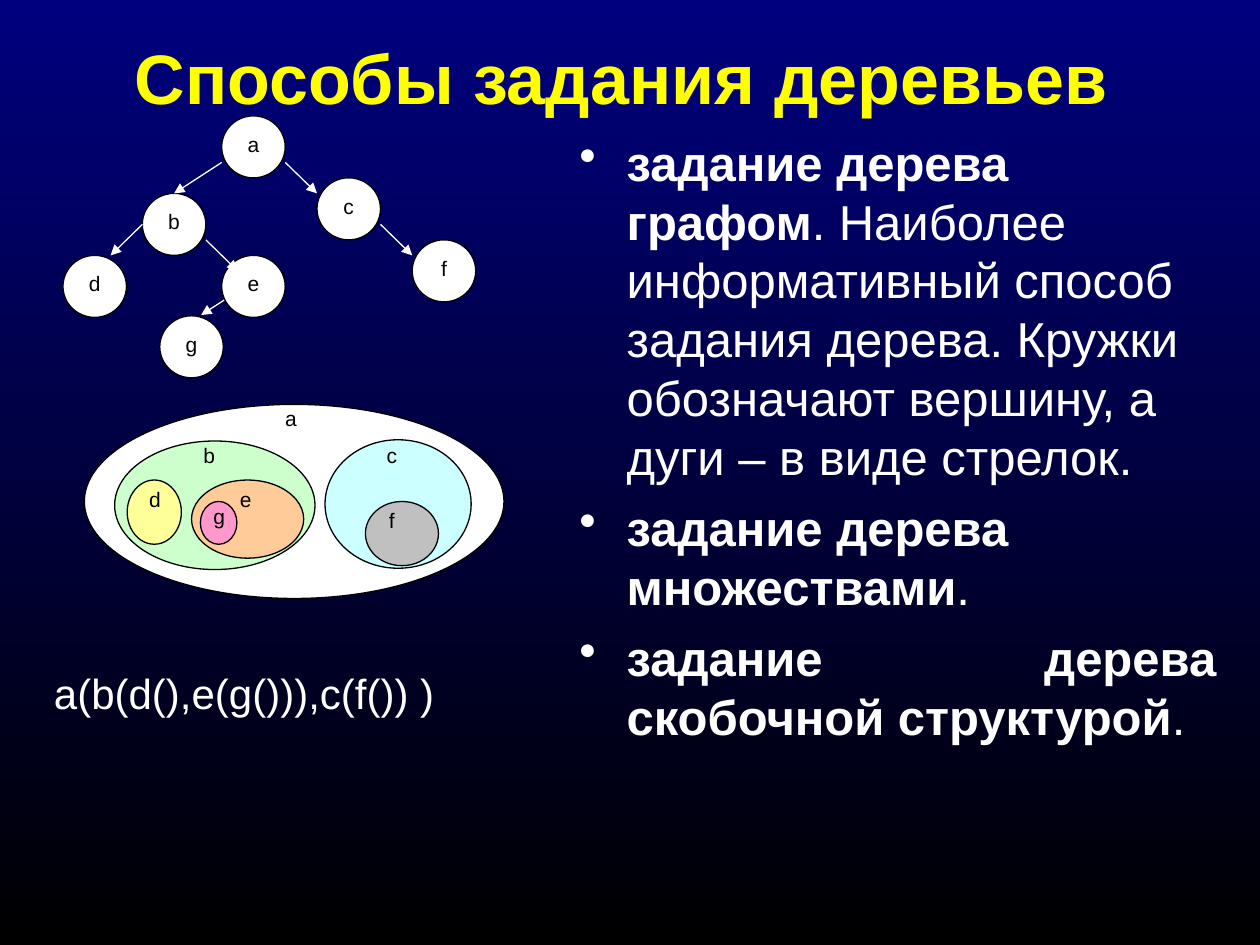
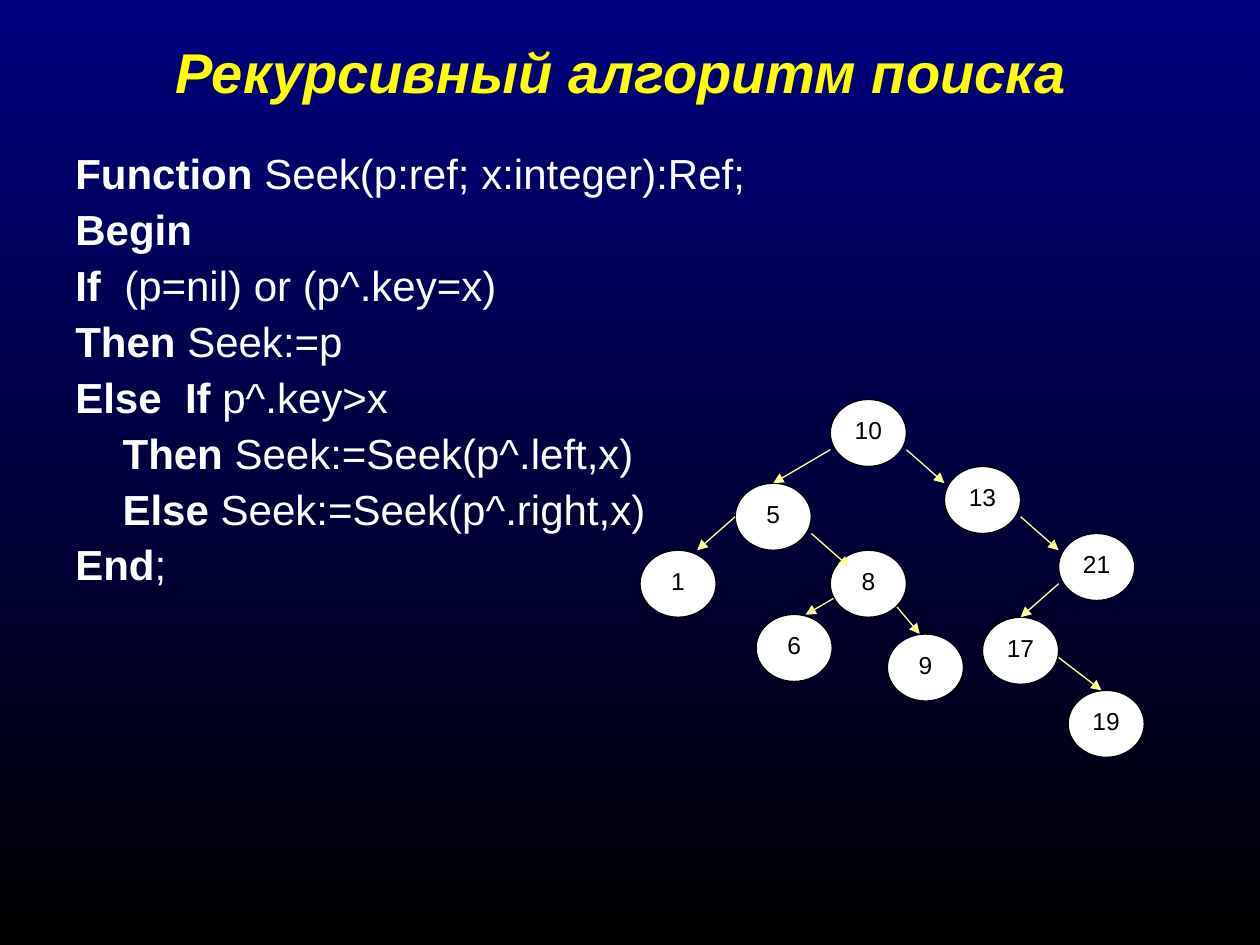
from dataclasses import dataclass

from lxml.etree import SubElement
from pptx import Presentation
from pptx.dml.color import RGBColor
from pptx.enum.shapes import MSO_CONNECTOR, MSO_SHAPE
from pptx.enum.text import MSO_ANCHOR, MSO_AUTO_SIZE, PP_ALIGN
from pptx.oxml.ns import qn
from pptx.util import Inches, Pt


@dataclass(frozen=True)
class Theme:
    font: str = "Arial"
    white: str = "FFFFFF"
    black: str = "000000"
    navy: str = "00007E"
    title: str = "FFFF00"
    cream: str = "FFFF99"
    head: int = 40
    subhead: int = 32
    body: int = 28
    code: int = 24
    label: int = 12
    key: int = 14
    line: float = 0.75


THEME = Theme()
# The slide is a grid of 100 columns by 75 rows
WIDTH, HEIGHT = Inches(10), Inches(7.5)
COL, ROW = WIDTH / 100, HEIGHT / 75
HANG = round(3.75 * COL)

# Tree nodes: column and row in quarters of a node, which is 4 by 4
LETTERS = {"a": (10, 0), "c": (16, 4), "b": (5, 5), "d": (0, 9),
           "e": (10, 9), "f": (22, 8), "g": (6.1, 12.9)}
KEYS = {"10": (10, 0), "13": (16, 4), "5": (5, 5), "1": (0, 9),
        "8": (10, 9), "21": (22, 8), "6": (6.1, 12.83),
        "17": (18, 13), "19": (22.5, 17.36), "9": (13, 14)}
# Arrows both trees have, drawn over the nodes
SHARED = [(10, 3, 7, 5), (14, 3, 16, 5), (9, 8, 11, 10),
          (5, 7, 3, 9), (20, 7, 22, 9)]
# Arrows that start under a node
LEFT = (10.4, 11.72, 8.7, 12.85)
LOWER = [LEFT, (13, 11.7, 14.7, 14), (21.65, 15.1, 24.25, 17.36)]
TURN = (22, 11, 20, 13)

# Sets: name, ellipse box, colour, label place
SETS = [("a", (0, 0.4, 33.3, 15.4), "FFFFFF", (12.8, 0)),
        ("b", (2.4, 3.3, 15.9, 10.2), "CCFFCC", (6.3, 2.9)),
        ("c", (19.1, 3.2, 11.6, 10.2), "CCFFFF", (20.8, 2.9)),
        ("f", (22.3, 8.1, 5.8, 5.1), "C0C0C0", (20.8, 8.1)),
        ("d", (3.4, 6.4, 4.3, 5.1), "FFFF99", (2, 6.4)),
        ("e", (8.5, 6.4, 8.9, 6.2), "FFCC99", (9.2, 6.4)),
        ("g", (9.2, 8.1, 2.9, 3.4), "FF99CC", (7.1, 7.8))]

# Text lines: bold part, plain part
WAYS = [("задание дерева графом",
         ". Наиболее информативный способ задания дерева. "
         "Кружки обозначают вершину, а дуги – в виде стрелок."),
        ("задание дерева множествами", "."),
        ("задание дерева скобочной структурой", ".")]
CODE = [("Function", " Seek(p:ref; x:integer):Ref;"),
        ("Begin", ""),
        ("If", "  (p=nil) or (p^.key=x)"),
        ("Then", " Seek:=p"),
        ("Else  If", " p^.key>x"),
        ("Then", " Seek:=Seek(p^.left,x)"),
        ("Else", " Seek:=Seek(p^.right,x)"),
        ("End", ";")]
NESTED = (5, 6)


def place(x, y, w, h):
    """Turn grid cells into slide lengths."""
    return [round(n) for n in (x * COL, y * ROW, w * COL, h * ROW)]


def style(para, size, color, align=None):
    para.alignment = align
    font = para.font
    font.name, font.size = THEME.font, Pt(size)
    font.color.rgb = RGBColor.from_string(color)
    return font


def text_box(shapes, box):
    frame = shapes.add_textbox(*place(*box)).text_frame
    frame.word_wrap = True
    return frame


def oval(shapes, box, fill):
    shape = shapes.add_shape(MSO_SHAPE.OVAL, *place(*box))
    shape.shadow.inherit = False
    shape.fill.solid()
    shape.fill.fore_color.rgb = RGBColor.from_string(fill)
    shape.line.color.rgb = RGBColor.from_string(THEME.black)
    shape.line.width = Pt(THEME.line)
    return shape


def label(frame, text, size):
    frame.vertical_anchor = MSO_ANCHOR.TOP
    para = frame.paragraphs[0]
    para.text = text
    style(para, size, THEME.black, PP_ALIGN.CENTER)


def arrow(shapes, ends, color):
    link = shapes.add_connector(MSO_CONNECTOR.STRAIGHT, *ends)
    link.line.color.rgb = RGBColor.from_string(color)
    link.line.width = Pt(THEME.line)
    SubElement(link.line._get_or_add_ln(), qn("a:tailEnd"), type="triangle")
    SubElement(link._element.spPr, qn("a:effectLst"))


def tree(slide, origin, cell, nodes, under, over, color, size):
    """Draw a tree from its top left corner on a grid of its own cells."""
    shapes = slide.shapes.add_group_shape().shapes
    (left, top), (wide, high) = origin, cell

    def spot(x, y):
        return left + x * wide, top + y * high

    def links(group):
        for x1, y1, x2, y2 in group:
            ends = place(*spot(x1, y1), *spot(x2, y2))
            arrow(shapes, ends, color)

    links(under)
    for name, (x, y) in nodes.items():
        node = oval(shapes, (*spot(x, y), 4 * wide, 4 * high), THEME.white)
        node.text_frame.word_wrap = False
        label(node.text_frame, name, size)
    links(over)


def nest(slide, left, top):
    """Draw the nested sets from their top left corner."""
    shapes = slide.shapes.add_group_shape().shapes
    for name, (x, y, w, h), fill, (tx, ty) in SETS:
        oval(shapes, (left + x, top + y, w, h), fill)
        frame = text_box(shapes, (left + tx, top + ty, 7.2, 3.4))
        label(frame, name, THEME.label)


def prose(slide, box, lines, size, gap):
    """Fill a box with lines that open in bold; return the paragraphs."""
    frame = text_box(slide.shapes, box)
    paras = []
    for i, (bold, plain) in enumerate(lines):
        para = frame.add_paragraph() if i else frame.paragraphs[0]
        para.space_before = Pt(gap if i else 0)
        for text, strong in ((bold, True), (plain, False)):
            if text:
                run = para.add_run()
                run.text, run.font.bold = text, strong
        paras.append(para)
    return paras


def indent(para, margin, first):
    props = para._p.get_or_add_pPr()
    props.set("marL", str(margin))
    props.set("indent", str(first))
    return props


def start(deck, text, size, high, slant=False):
    """Add a title-only slide with its title."""
    slide = deck.slides.add_slide(deck.slide_layouts[5])
    title = slide.shapes.title
    title.left, title.top, title.width, title.height = place(4.3, 3, 90, high)
    frame = title.text_frame
    frame.text = text
    frame.auto_size = MSO_AUTO_SIZE.NONE
    frame.vertical_anchor = MSO_ANCHOR.MIDDLE
    font = style(frame.paragraphs[0], size, THEME.title, PP_ALIGN.CENTER)
    font.bold, font.italic = True, slant
    return slide


def ways(deck):
    slide = start(deck, "Способы задания деревьев", THEME.head, 6.2)
    # Bulleted text
    paras = prose(slide, (45, 10, 52.5, 59.2), WAYS, THEME.body, 7)
    for para in paras:
        props = indent(para, HANG, -HANG)
        tint = SubElement(props, qn("a:buClr"))
        SubElement(tint, qn("a:srgbClr"), val=THEME.white)
        SubElement(props, qn("a:buChar"), char="•")
        last = para is paras[-1]
        style(para, THEME.body, THEME.white,
              PP_ALIGN.JUSTIFY if last else PP_ALIGN.LEFT)
    # Graph, sets and brackets
    tree(slide, (5, 9.2), (1.26, 1.23), LETTERS, [LEFT], SHARED,
         THEME.white, THEME.label)
    nest(slide, 6.7, 31.7)
    para = text_box(slide.shapes, (3.3, 53.3, 42.5, 10.3)).paragraphs[0]
    para.text = "a(b(d(),e(g())),c(f()) )"
    para.line_spacing = 0.8
    style(para, THEME.code, THEME.white, PP_ALIGN.JUSTIFY)


def seek(deck):
    slide = start(deck, "Рекурсивный алгоритм поиска", THEME.subhead, 5.3, True)
    # Code
    paras = prose(slide, (5, 11.7, 63.3, 37.5), CODE, THEME.code, 6)
    for i, para in enumerate(paras):
        indent(para, HANG, 0 if i in NESTED else -HANG)
        para.line_spacing = 0.9
        style(para, THEME.code, THEME.white)
    # Search tree
    tree(slide, (50.8, 31.7), (1.51, 1.33), KEYS, LOWER, SHARED + [TURN],
         THEME.cream, THEME.key)


def main():
    deck = Presentation()
    deck.slide_width, deck.slide_height = WIDTH, HEIGHT
    # Shared background
    fill = deck.slide_master.background.fill
    fill.gradient()
    fill.gradient_angle = 270
    for stop, color in zip(fill.gradient_stops, (THEME.navy, THEME.black)):
        stop.color.rgb = RGBColor.from_string(color)
    ways(deck)
    seek(deck)
    deck.save("out.pptx")


if __name__ == "__main__":
    main()
